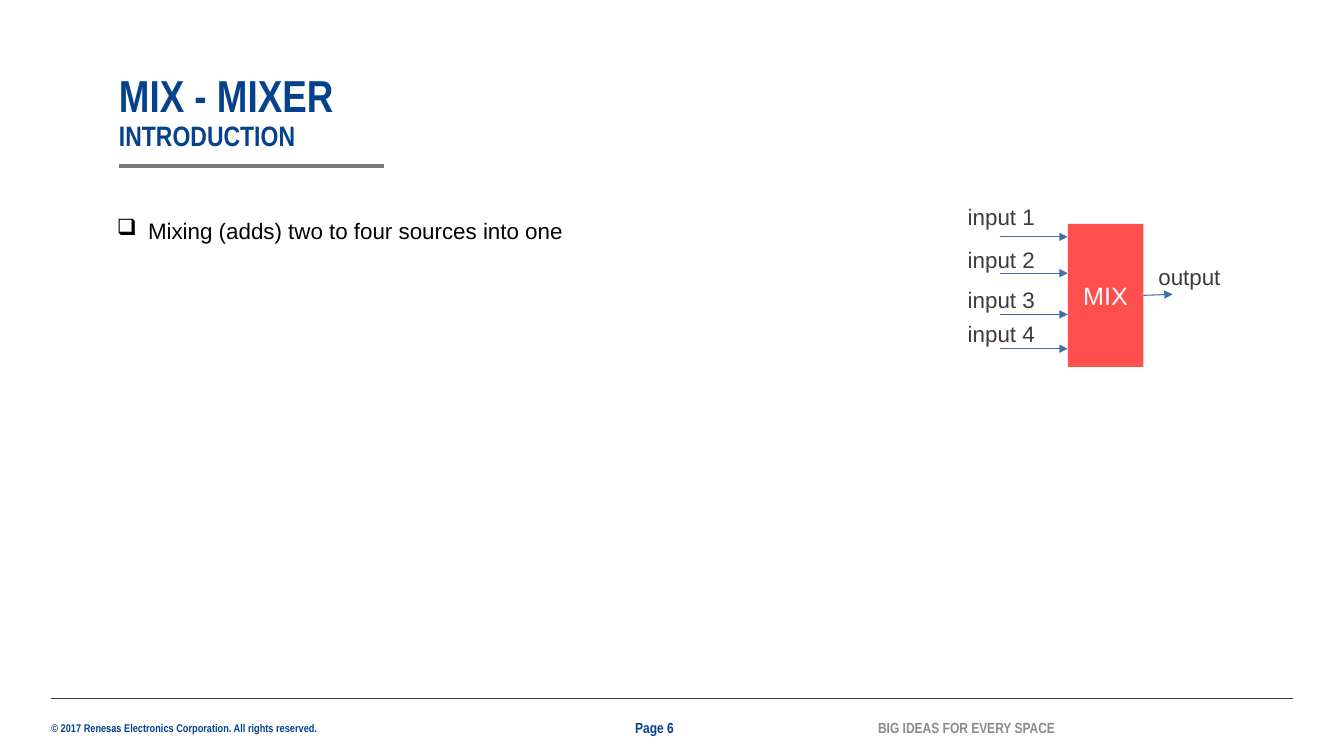
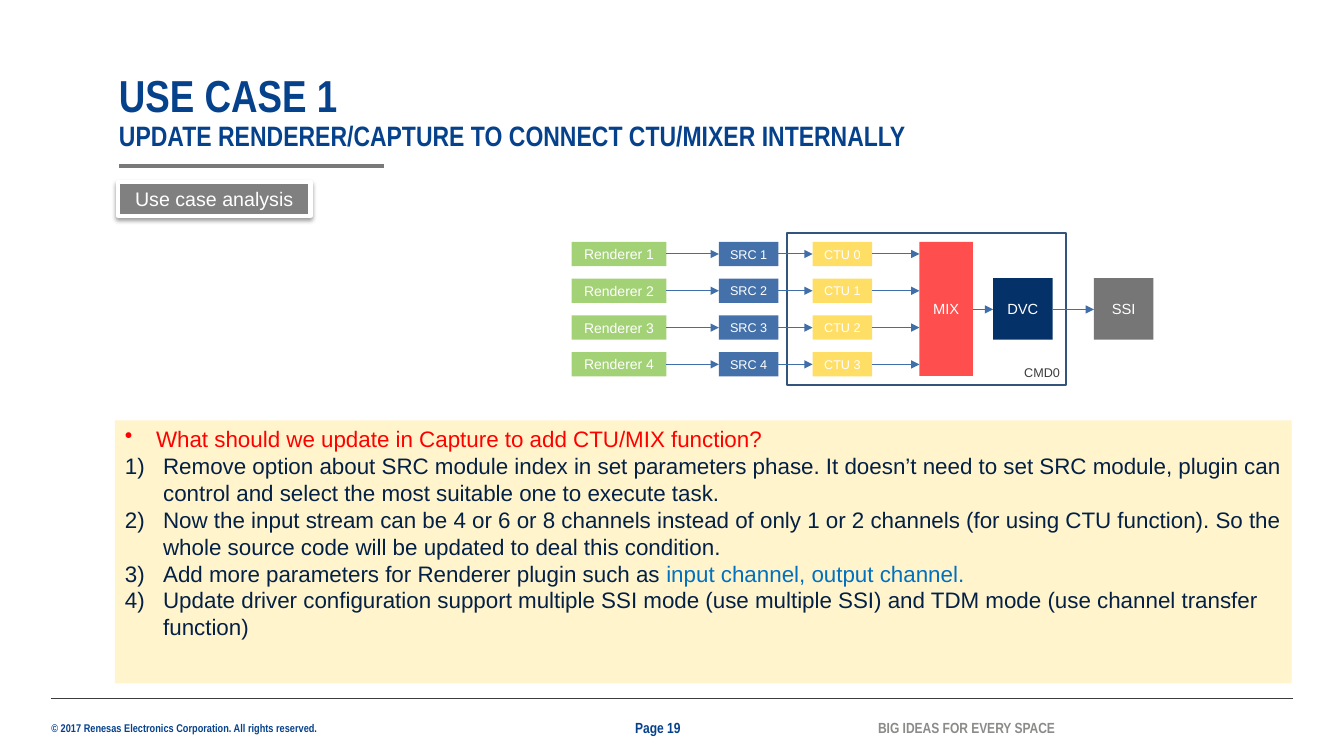
from lxml import etree
from pptx import Presentation
from pptx.dml.color import RGBColor
from pptx.enum.shapes import MSO_CONNECTOR, MSO_SHAPE
from pptx.enum.text import MSO_ANCHOR, MSO_AUTO_SIZE, PP_ALIGN
from pptx.oxml.ns import qn
from pptx.util import Inches, Pt

RECT, STRAIGHT = MSO_SHAPE.RECTANGLE, MSO_CONNECTOR.STRAIGHT
TOP, MIDDLE, BOTTOM = MSO_ANCHOR.TOP, MSO_ANCHOR.MIDDLE, MSO_ANCHOR.BOTTOM
LEFT, CENTER = PP_ALIGN.LEFT, PP_ALIGN.CENTER
NO_FIT = MSO_AUTO_SIZE.NONE

BODY, NARROW = "Arial", "Arial Narrow"
C = {
    "brand": "06418C", "rule": "3C3C3B", "accent": "797979", "tagline": "8B8B89",
    "text": "3C3C3B", "black": "000000", "white": "FFFFFF", "arrow": "406EA8",
    "mix": "FF4E4E", "renderer": "A3D175", "src": "4471A9", "ctu": "FFDE66",
    "dvc": "053169", "ssi": "767676", "frame": "32547D", "tag": "808080",
    "panel": "FFF4CC", "question": "FF0000", "answer": "032046", "key": "0070C0",
}

# Content
COPYRIGHT = "© 2017 Renesas Electronics Corporation. All rights reserved."
TAGLINE = "BIG IDEAS FOR EVERY SPACE"
INTRO = ("MIX - MIXER", "INTRODUCTION", 6)
USE_CASE = ("USE CASE 1", "UPDATE RENDERER/CAPTURE TO CONNECT CTU/MIXER INTERNALLY", 19)
SUMMARY = "Mixing (adds) two to four sources into one"
# label, label top, arrow height
INPUTS = [("input 1", 1.97, 2.35), ("input 2", 2.39, 2.71),
          ("input 3", 2.79, 3.12), ("input 4", 3.13, 3.46)]
QUESTION = "What should we update in Capture to add CTU/MIX function?"
ANSWERS = [
    [("Remove option about SRC module index in set parameters phase. It doesn’t need "
      "to set SRC module, plugin can control and select the most suitable one to "
      "execute task.", "answer")],
    [("Now the input stream can be 4 or 6 or 8 channels instead of only 1 or 2 channels "
      "(for using CTU function). So the whole source code will be updated to deal this "
      "condition.", "answer")],
    [("Add more parameters for Renderer plugin such as ", "answer"),
     ("input channel, output channel.", "key")],
    [("Update driver configuration support multiple SSI mode (use multiple SSI) and TDM "
      "mode (use channel transfer function)", "answer")],
]
# name, first number, left, width, text size, colour
STAGES = [("Renderer", 1, 5.67, 0.94, 10, "renderer"),
          ("SRC", 1, 7.13, 0.59, 9, "src"),
          ("CTU", 0, 8.06, 0.59, 9, "ctu")]
# name, left, top, width, height, colour
OUTPUT_STAGES = [("MIX", 9.12, 2.4, 0.53, 1.33, "mix"),
                 ("DVC", 9.85, 2.76, 0.59, 0.61, "dvc"),
                 ("SSI", 10.85, 2.76, 0.59, 0.61, "ssi")]
LANES, LANE_TOP, LANE_PITCH, LANE_H = 4, 2.4, 0.365, 0.24


def rgb(name):
    return RGBColor.from_string(C[name])


def add_run(p, text, size, color, font=BODY, bold=False):
    r = p.add_run()
    r.text = text
    r.font.size, r.font.name, r.font.bold = Pt(size), font, bold
    r.font.color.rgb = rgb(color)


def set_frame(tf, anchor=TOP, inset=True):
    tf.word_wrap, tf.auto_size, tf.vertical_anchor = True, NO_FIT, anchor
    x, y = (0.1, 0.05) if inset else (0, 0)
    tf.margin_left = tf.margin_right = Inches(x)
    tf.margin_top = tf.margin_bottom = Inches(y)


def add_bullet(p, indent, tag, **attrs):
    pPr = p._p.get_or_add_pPr()
    pPr.set("marL", str(Inches(indent)))
    pPr.set("indent", str(-Inches(indent)))
    etree.SubElement(pPr, qn("a:" + tag), attrs)


def add_label(s, at, text, size, color, font=BODY, bold=False, anchor=TOP, inset=True):
    tf = s.shapes.add_textbox(*map(Inches, at)).text_frame
    set_frame(tf, anchor, inset)
    p = tf.paragraphs[0]
    add_run(p, text, size, color, font, bold)
    return p


def add_box(s, at, fill, text="", size=10, line=None, weight=1.5):
    sp = s.shapes.add_shape(RECT, *map(Inches, at))
    sp.shadow.inherit = False
    sp.fill.solid()
    sp.fill.fore_color.rgb = rgb(fill)
    if line:
        sp.line.color.rgb = rgb(line)
        sp.line.width = Pt(weight)
    else:
        sp.line.fill.background()
    if text:
        set_frame(sp.text_frame, MIDDLE, inset=False)
        p = sp.text_frame.paragraphs[0]
        p.alignment = CENTER
        add_run(p, text, size, "white")
    return sp


def add_line(s, x1, y1, x2, y2, color="arrow", weight=0.75, arrow=True):
    ln = s.shapes.add_connector(STRAIGHT, *map(Inches, (x1, y1, x2, y2)))
    ln.line.color.rgb = rgb(color)
    ln.line.width = Pt(weight)
    if arrow:
        etree.SubElement(ln.line._get_or_add_ln(), qn("a:tailEnd"), type="triangle")
    etree.SubElement(ln._element.spPr, qn("a:effectLst"))


def add_soft_shadow(sp):
    effects = sp._element.spPr.find(qn("a:effectLst"))
    shadow = etree.SubElement(effects, qn("a:outerShdw"), blurRad=str(Pt(3.1)),
                              dist=str(Pt(1.6)), dir="5400000", rotWithShape="0")
    color = etree.SubElement(shadow, qn("a:srgbClr"), val=C["black"])
    etree.SubElement(color, qn("a:alpha"), val="38000")


def new_slide(prs, title, subtitle, page):
    """Slide with the shared title, rules and footer."""
    s = prs.slides.add_slide(prs.slide_layouts[5])
    add_label(s, (0.51, 7.16, 3, 0.13), COPYRIGHT, 8, "brand", NARROW, True, inset=False)
    add_line(s, 0.51, 6.93, 12.82, 6.93, "rule", 0.5, arrow=False)
    add_line(s, 1.18, 1.65, 3.81, 1.65, "accent", 3, arrow=False)
    for left, width, text, color in ((8.71, 2, TAGLINE, "tagline"),
                                     (6.3, 0.73, f"Page {page}", "brand")):
        add_label(s, (left, 7.13, width, 0.18), text, 10.5, color, NARROW, True,
                  MIDDLE, inset=False)
    sp = s.shapes.title
    sp.left, sp.top, sp.width, sp.height = map(Inches, (1.18, 0.72, 9.84, 0.79))
    set_frame(sp.text_frame, BOTTOM, inset=False)
    p = sp.text_frame.paragraphs[0]
    p.alignment, p.line_spacing = LEFT, 0.9
    add_run(p, title, 32, "brand", NARROW, True)
    p.add_line_break()
    etree.SubElement(p._p.find(qn("a:br")), qn("a:rPr"), sz="3200")
    add_run(p, subtitle, 20, "brand", NARROW, True)
    return s


def build_intro(prs):
    s = new_slide(prs, *INTRO)
    # Mixer block with its inputs and output
    add_box(s, (10.59, 2.22, 0.75, 1.42), "mix", "MIX", 18)
    for text, top, y in INPUTS:
        add_line(s, 9.92, y, 10.59, y)
        add_label(s, (9.5, top, 1.03, 0.37), text, 16, "text")
    add_line(s, 11.34, 2.93, 11.63, 2.92)
    add_label(s, (11.39, 2.56, 0.95, 0.37), "output", 16, "text")
    # Summary
    p = add_label(s, (1.06, 1.97, 7.52, 0.5), SUMMARY, 16, "black")
    add_bullet(p, 0.31, "buChar", char="❑")
    p.line_spacing = 1.5


def build_use_case(prs):
    s = new_slide(prs, *USE_CASE)
    # Answer panel
    tf = add_box(s, (1.14, 4.17, 11.67, 2.61), "panel").text_frame
    set_frame(tf)
    p = tf.paragraphs[0]
    p.alignment = LEFT
    add_bullet(p, 0.31, "buChar", char="•")
    add_run(p, QUESTION, 16, "question")
    for answer in ANSWERS:
        p = tf.add_paragraph()
        p.alignment = LEFT
        add_bullet(p, 0.38, "buAutoNum", type="arabicParenR")
        for text, color in answer:
            add_run(p, text, 16, color)
    # Command frame
    add_box(s, (7.81, 2.31, 2.76, 1.51), "white", line="frame")
    add_label(s, (10.06, 3.57, 0.62, 0.25), "CMD0", 9, "text")
    # Parallel lanes, each stage pointing at the next and the last at the mixer
    targets = [stage[2] for stage in STAGES[1:]] + [OUTPUT_STAGES[0][1]]
    for lane in range(LANES):
        top = LANE_TOP + lane * LANE_PITCH
        y = top + LANE_H / 2
        for (name, first, left, width, size, color), target in zip(STAGES, targets):
            add_box(s, (left, top, width, LANE_H), color, f"{name} {first + lane}", size)
            add_line(s, left + width, y, target, y)
    # Mixed output chain
    for name, *at, color in OUTPUT_STAGES:
        add_box(s, at, color, name, 10.5)
    for (_, left, _, width, *_), following in zip(OUTPUT_STAGES, OUTPUT_STAGES[1:]):
        add_line(s, left + width, 3.07, following[1], 3.07)
    # Section tag
    add_soft_shadow(add_box(s, (1.17, 1.81, 1.91, 0.33), "tag", "Use case analysis", 14,
                            line="white", weight=3))


def main():
    prs = Presentation()
    prs.slide_width, prs.slide_height = Inches(13.33), Inches(7.5)
    build_intro(prs)
    build_use_case(prs)
    prs.save("out.pptx")


if __name__ == "__main__":
    main()
